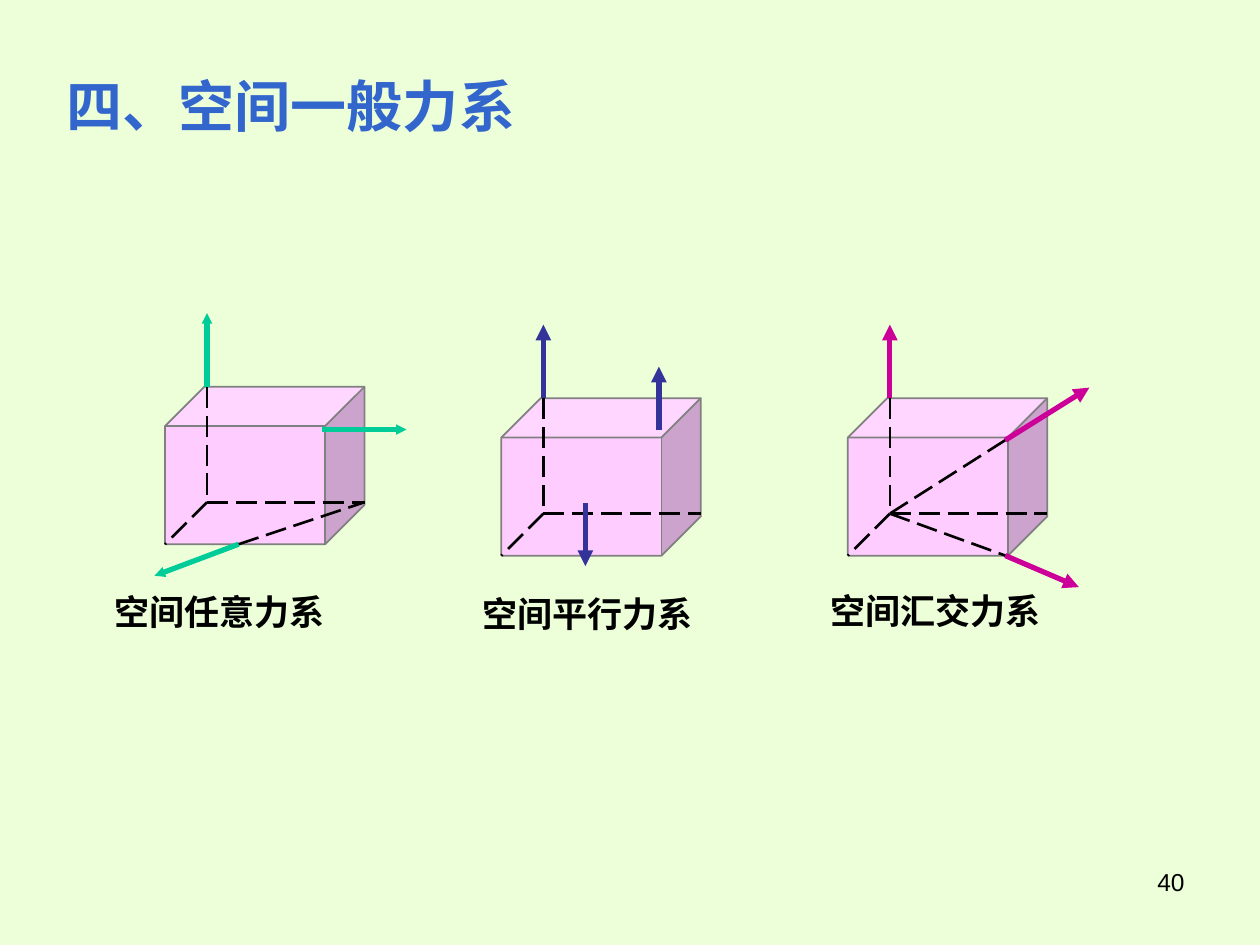
from dataclasses import dataclass

from lxml.etree import SubElement
from pptx import Presentation
from pptx.dml.color import RGBColor
from pptx.enum.dml import MSO_LINE
from pptx.enum.shapes import MSO_CONNECTOR, MSO_SHAPE
from pptx.enum.text import MSO_ANCHOR, PP_ALIGN
from pptx.oxml.ns import qn
from pptx.util import Pt

COLORS = {
    "bg": "ECFFD9", "title": "3366CC", "text": "000000",
    "box": "FFCCFF", "edge": "808080",
    "general": "00CC99", "parallel": "333399", "concurrent": "CC0099",
}
CJK = "Noto Sans CJK SC"
BOX_W, BOX_H = 114, 90
DEPTH = 24
FLOOR = BOX_H - DEPTH  # height of the hidden rear corner

Segment = tuple[float, float, float, float]


@dataclass
class ForceSystem:
    """A box with its forces; segments are relative to the box's top left."""
    label: str
    color: str
    left: float
    top: float
    label_at: tuple[float, float, float]  # left, top, width
    forces: list[Segment]
    guides: list[Segment]
    head: str = "med"


HIDDEN_EDGES: list[Segment] = [
    (DEPTH, 0, DEPTH, FLOOR),
    (DEPTH, FLOOR, 0, BOX_H),
    (DEPTH, FLOOR, BOX_W, FLOOR),
]
UPWARD: Segment = (DEPTH, 0, DEPTH, -42)

SYSTEMS = [
    ForceSystem("空间任意力系", "general", 94.3, 221, (58.3, 334, 198),
                [UPWARD, (90, 24.5, 138, 24.5), (42, 90, -6, 108)],
                [(42, 90, 114, 66)], head="sm"),
    ForceSystem("空间平行力系", "parallel", 286.5, 227.5, (268.5, 335, 180),
                [UPWARD, (90, 18, 90, -18), (48, 60, 48, 96)], []),
    ForceSystem("空间汇交力系", "concurrent", 484.5, 227.5, (467.3, 333.5, 144),
                [UPWARD, (90, 24, 138, -6), (90, 90, 132, 108)],
                [(90, 24, 24, 66), (24, 66, 90, 90)]),
]


def rgb(name: str) -> RGBColor:
    return RGBColor.from_string(COLORS[name])


def set_text(shape, text: str, size: float, color: str, font: str,
             bold: bool = False, align=PP_ALIGN.LEFT) -> None:
    tf = shape.text_frame
    tf.word_wrap = True
    tf.text = text
    p = tf.paragraphs[0]
    p.alignment = align
    r = p.runs[0]
    r.font.size, r.font.bold, r.font.name = Pt(size), bold, font
    r.font.color.rgb = rgb(color)
    SubElement(r.font._element, qn("a:ea")).set("typeface", CJK)


def add_line(s, system: ForceSystem, seg: Segment, color: str, width: float):
    x1, y1, x2, y2 = seg
    line = s.shapes.add_connector(
        MSO_CONNECTOR.STRAIGHT,
        Pt(system.left + x1), Pt(system.top + y1),
        Pt(system.left + x2), Pt(system.top + y2))
    line.line.color.rgb = rgb(color)
    line.line.width = Pt(width)
    SubElement(line._element.spPr, qn("a:effectLst"))
    return line


def add_dashed(s, system: ForceSystem, seg: Segment) -> None:
    line = add_line(s, system, seg, "text", 1.5)
    line.line.dash_style = MSO_LINE.LONG_DASH


def add_force(s, system: ForceSystem, seg: Segment) -> None:
    line = add_line(s, system, seg, system.color, 3)
    tail = SubElement(line.line._get_or_add_ln(), qn("a:tailEnd"))
    for key, value in (("type", "triangle"), ("w", system.head), ("len", system.head)):
        tail.set(key, value)


def add_system(s, system: ForceSystem) -> None:
    box = s.shapes.add_shape(MSO_SHAPE.CUBE, Pt(system.left), Pt(system.top),
                             Pt(BOX_W), Pt(BOX_H))
    box.shadow.inherit = False
    box.fill.solid()
    box.fill.fore_color.rgb = rgb("box")
    box.line.color.rgb = rgb("edge")
    box.line.width = Pt(1)
    for seg in HIDDEN_EDGES + system.guides:
        add_dashed(s, system, seg)
    for seg in system.forces:
        add_force(s, system, seg)
    left, top, width = system.label_at
    label = s.shapes.add_textbox(Pt(left), Pt(top), Pt(width), Pt(31.5))
    set_text(label, system.label, 20, "text", "Times New Roman", bold=True)


def main() -> None:
    prs = Presentation()
    prs.slide_width, prs.slide_height = Pt(720), Pt(540)
    s = prs.slides.add_slide(prs.slide_layouts[5])
    s.background.fill.solid()
    s.background.fill.fore_color.rgb = rgb("bg")

    # Title
    title = s.shapes.title
    title.left, title.top, title.width, title.height = Pt(31), Pt(31.5), Pt(375), Pt(57)
    set_text(title, "四、空间一般力系", 32, "title", CJK, bold=True)
    title.text_frame.vertical_anchor = MSO_ANCHOR.MIDDLE

    # Force systems
    for system in SYSTEMS:
        add_system(s, system)

    # Page number
    number = s.shapes.add_textbox(Pt(516), Pt(492), Pt(168), Pt(37.5))
    set_text(number, "40", 14, "text", "Arial", align=PP_ALIGN.RIGHT)

    prs.save("out.pptx")


if __name__ == "__main__":
    main()
